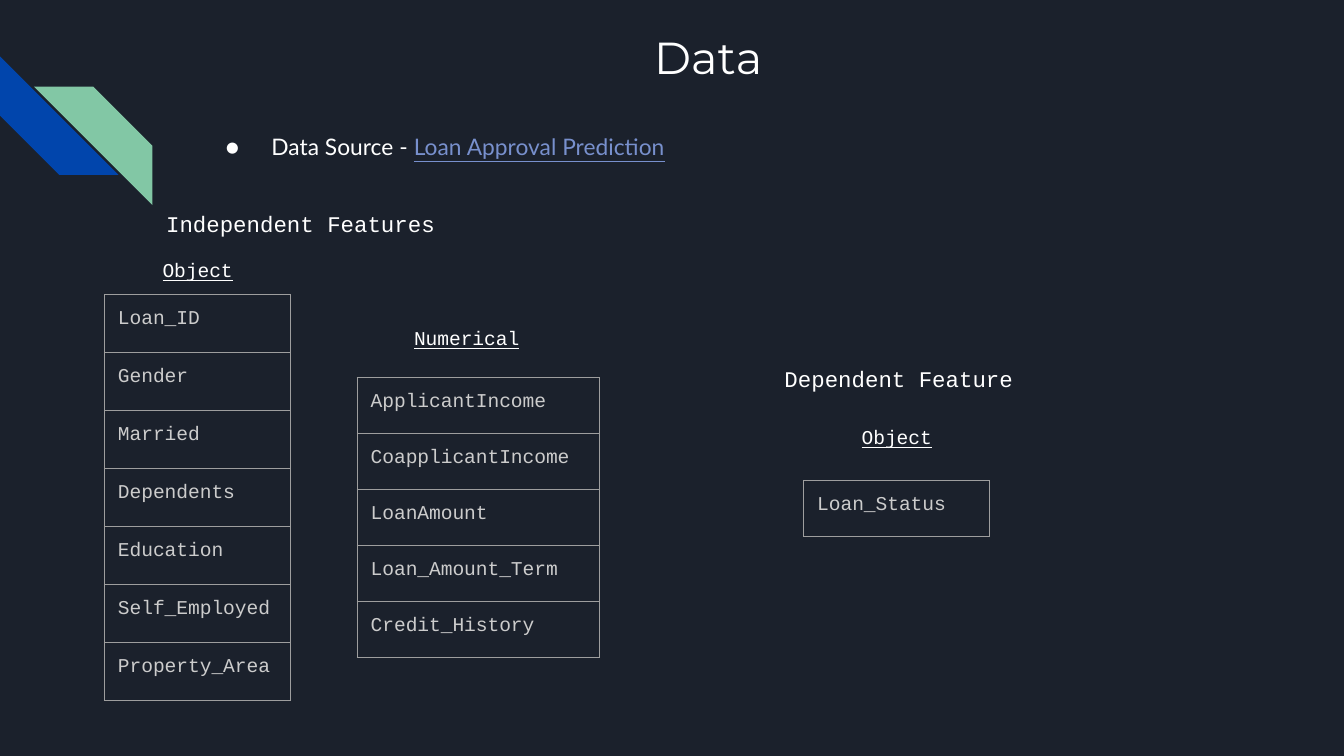
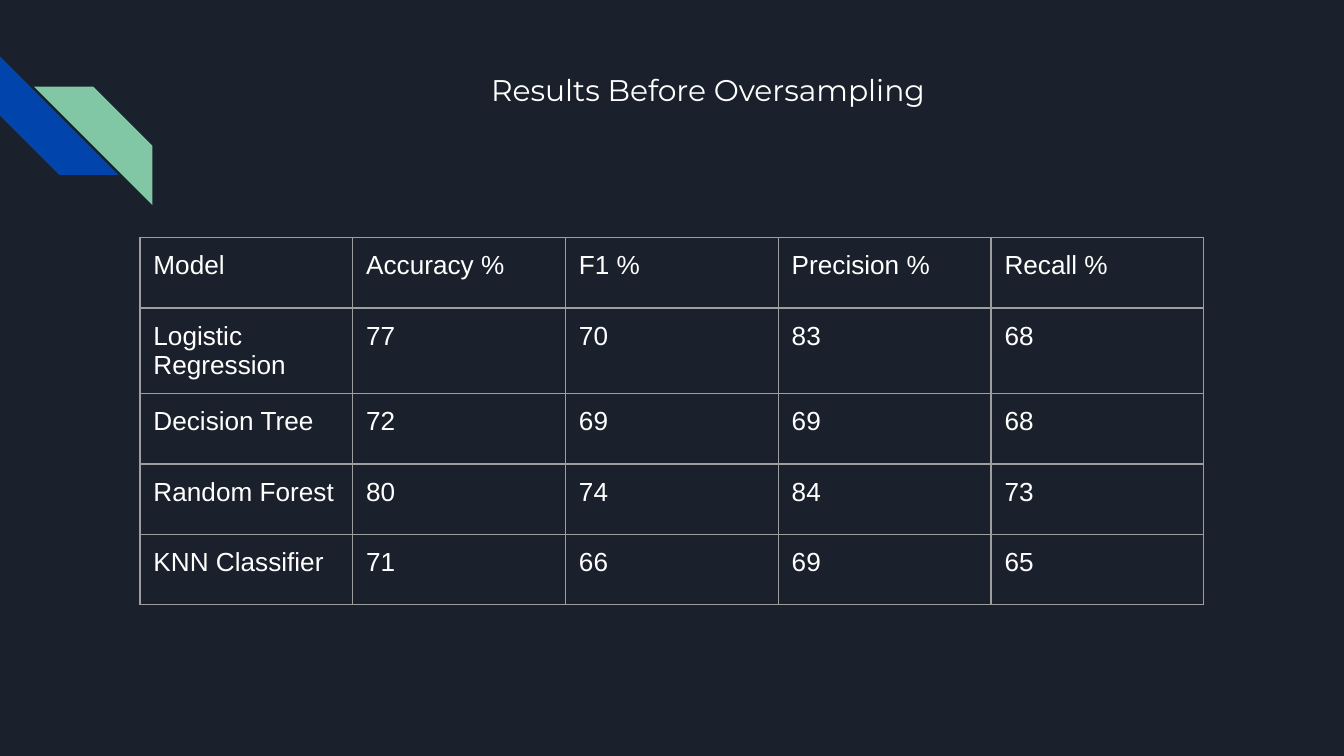
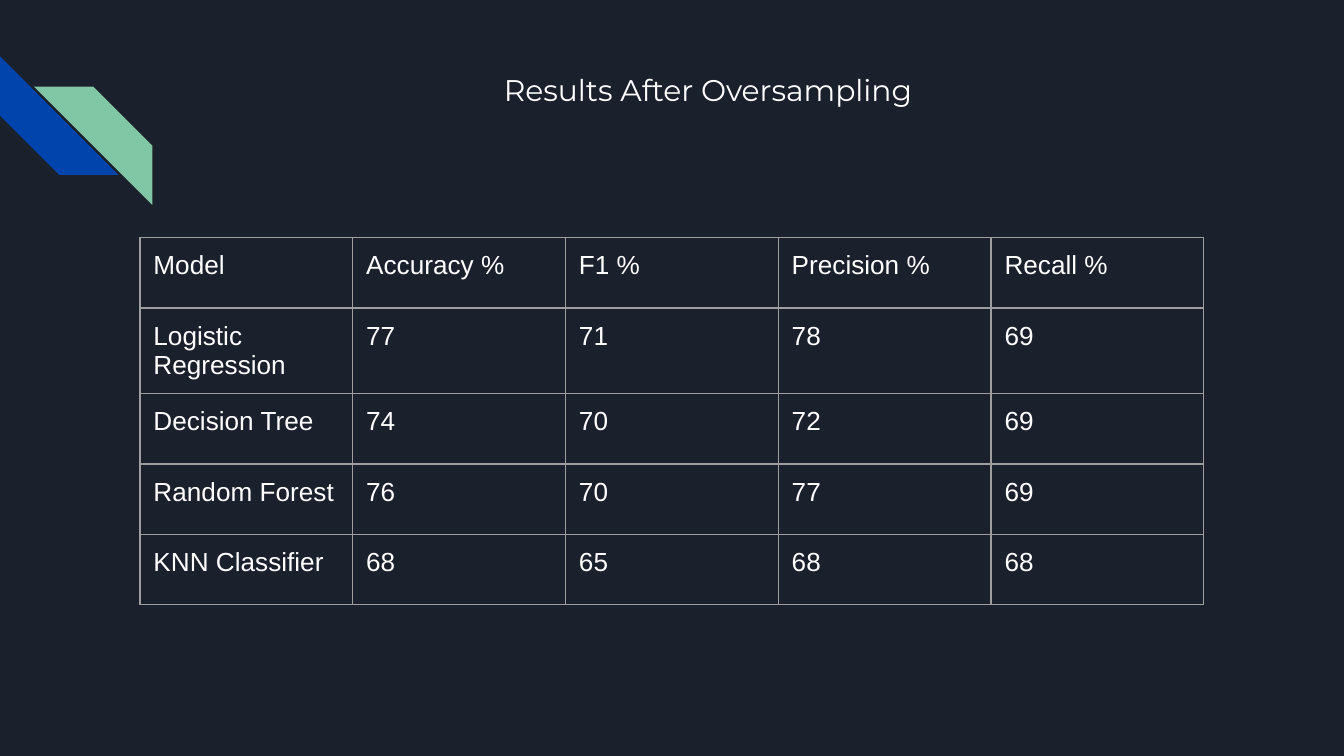
from lxml import etree
from pptx import Presentation
from pptx.dml.color import RGBColor
from pptx.enum.shapes import MSO_SHAPE
from pptx.enum.text import MSO_ANCHOR, MSO_AUTO_SIZE, PP_ALIGN
from pptx.oxml.ns import qn
from pptx.util import Pt

STRIPE = MSO_SHAPE.DIAGONAL_STRIPE
TOP = MSO_ANCHOR.TOP
NO_FIT = MSO_AUTO_SIZE.NONE
CENTER = PP_ALIGN.CENTER
LEFT = PP_ALIGN.LEFT

NIGHT = "1B212C"
BLUE = "0145AC"
GREEN = "82C7A5"
WHITE = "FFFFFF"
SILVER = "CCCCCC"
GRID = "9E9E9E"
LINK = "7890CD"

TITLE_FONT = "Montserrat"
BODY_FONT = "Lato"
CODE_FONT = "Courier New"
TABLE_FONT = "Arial"

INSET = 7.2
TITLE_LEFT, TITLE_WIDTH, TITLE_HEIGHT = 102.2, 554.4, 72
STRIPE_SIZE = 63.5

METRICS = ["Model", "Accuracy %", "F1 %", "Precision %", "Recall %"]
BEFORE = [
    ["Logistic Regression", "77", "70", "83", "68"],
    ["Decision Tree", "72", "69", "69", "68"],
    ["Random Forest", "80", "74", "84", "73"],
    ["KNN Classifier", "71", "66", "69", "65"],
]
AFTER = [
    ["Logistic Regression", "77", "71", "78", "69"],
    ["Decision Tree", "74", "70", "72", "69"],
    ["Random Forest", "76", "70", "77", "69"],
    ["KNN Classifier", "68", "65", "68", "68"],
]
OBJECT_FEATURES = ["Loan_ID", "Gender", "Married", "Dependents", "Education",
                   "Self_Employed", "Property_Area"]
NUMERICAL_FEATURES = ["ApplicantIncome", "CoapplicantIncome", "LoanAmount",
                      "Loan_Amount_Term", "Credit_History"]


def color(value):
    """Turn a hex string into a colour."""
    return RGBColor.from_string(value)


def style_run(run, font, size, ink, underline=False):
    """Format one run of text."""
    run.font.name = font
    run.font.size = Pt(size)
    run.font.color.rgb = color(ink)
    run.font.bold = False
    if underline:
        run.font.underline = True


def set_frame(holder):
    """Give a text frame wrapping, top anchoring and equal insets."""
    frame = holder.text_frame
    frame.word_wrap = True
    frame.auto_size = NO_FIT
    frame.vertical_anchor = TOP
    frame.margin_left = frame.margin_right = Pt(INSET)
    frame.margin_top = frame.margin_bottom = Pt(INSET)
    return frame


def place(shape, left, top, width, height):
    """Move and size a shape, in points."""
    shape.left, shape.top = Pt(left), Pt(top)
    shape.width, shape.height = Pt(width), Pt(height)


def add_stripe(slide, left, top, rotation, fill):
    """Draw one diagonal stripe of the corner ornament."""
    stripe = slide.shapes.add_shape(
        STRIPE, Pt(left), Pt(top), Pt(STRIPE_SIZE), Pt(STRIPE_SIZE))
    stripe.rotation = rotation
    stripe.shadow.inherit = False
    stripe.fill.solid()
    stripe.fill.fore_color.rgb = color(fill)
    stripe.line.fill.background()


def add_slide(prs, layout, title, top, size):
    """Add a slide with the corner ornament and a centred title."""
    slide = prs.slides.add_slide(prs.slide_layouts.get_by_name(layout))
    add_stripe(slide, 0, 30.2, 270, BLUE)
    add_stripe(slide, 18.2, 46.4, 90, GREEN)
    heading = slide.shapes.title
    place(heading, TITLE_LEFT, top, TITLE_WIDTH, TITLE_HEIGHT)
    frame = set_frame(heading)
    frame.text = title
    frame.paragraphs[0].alignment = CENTER
    style_run(frame.paragraphs[0].runs[0], TITLE_FONT, size, WHITE)
    return slide


def add_bullet(paragraph, mark, ink):
    """Put a coloured bullet with a hanging indent before a paragraph."""
    props = paragraph._p.get_or_add_pPr()
    props.set("marL", str(Pt(36)))
    props.set("indent", str(Pt(-24.5)))
    tint = etree.SubElement(props, qn("a:buClr"))
    etree.SubElement(tint, qn("a:srgbClr"), val=ink)
    etree.SubElement(props, qn("a:buFont"), typeface=BODY_FONT)
    etree.SubElement(props, qn("a:buChar"), char=mark)


def fill_source(slide, label, dataset):
    """Write the data source line into the body placeholder."""
    body = slide.placeholders[1]
    place(body, TITLE_LEFT, 64.8, TITLE_WIDTH, 46)
    source = set_frame(body).paragraphs[0]
    source.text = label
    source.add_run().text = dataset
    source.alignment = LEFT
    source.line_spacing = 0.95
    source.space_before = Pt(0)
    add_bullet(source, "●", WHITE)
    style_run(source.runs[0], BODY_FONT, 12.2, WHITE)
    style_run(source.runs[1], BODY_FONT, 12.2, LINK, underline=True)


def add_label(slide, text, left, top, width, height, size, underline=False):
    """Add a centred label in the code font."""
    label = slide.shapes.add_textbox(Pt(left), Pt(top), Pt(width), Pt(height))
    frame = set_frame(label)
    frame.text = text
    frame.paragraphs[0].alignment = CENTER
    style_run(frame.paragraphs[0].runs[0], CODE_FONT, size, WHITE, underline)


def add_group_label(slide, text, left, top):
    """Name a group of features."""
    add_label(slide, text, left, top, 249, 29, 12)


def add_type_label(slide, text, left, top):
    """Name a feature type, underlined."""
    add_label(slide, text, left, top, 117.4, 27.4, 10.5, underline=True)


def set_borders(cell):
    """Draw a thin line on all four sides of a cell."""
    props = cell._tc.get_or_add_tcPr()
    for side in ("a:lnL", "a:lnR", "a:lnT", "a:lnB"):
        line = etree.SubElement(props, qn(side), w=str(Pt(0.75)))
        paint = etree.SubElement(line, qn("a:solidFill"))
        etree.SubElement(paint, qn("a:srgbClr"), val=GRID)


def add_grid(slide, rows, left, top, col_width, row_height, font, size, ink):
    """Add an unfilled, outlined table with equal columns and rows."""
    count = len(rows[0])
    table = slide.shapes.add_table(
        len(rows), count, Pt(left), Pt(top),
        Pt(col_width * count), Pt(row_height * len(rows))).table
    table.first_row = table.horz_banding = False
    for column in table.columns:
        column.width = Pt(col_width)
    for row, values in zip(table.rows, rows):
        row.height = Pt(row_height)
        for cell, value in zip(row.cells, values):
            cell.text = value
            cell.margin_left = cell.margin_right = Pt(INSET)
            cell.margin_top = cell.margin_bottom = Pt(INSET)
            set_borders(cell)
            cell.fill.background()
            style_run(cell.text_frame.paragraphs[0].runs[0], font, size, ink)


def add_features(slide, names, left, top, width, row_height):
    """List feature names in a one-column table."""
    add_grid(slide, [[name] for name in names], left, top, width, row_height,
             CODE_FONT, 10.5, SILVER)


def add_data_slide(prs):
    """Build the slide on the data and its features."""
    slide = add_slide(prs, "Title and Content", "Data", 8.6, 24)
    fill_source(slide, "Data Source - ", "Loan Approval Prediction")
    add_features(slide, OBJECT_FEATURES, 56, 157.8, 99.6, 31.1)
    add_features(slide, NUMERICAL_FEATURES, 191.4, 202.3, 129.8, 30)
    add_features(slide, ["Loan_Status"], 430.6, 257.5, 99.6, 30)
    add_group_label(slide, "Independent Features", 36.5, 105.3)
    add_group_label(slide, "Dependent Feature", 357, 188.2)
    add_type_label(slide, "Object", 47.2, 130.8)
    add_type_label(slide, "Numerical", 191.3, 167.2)
    add_type_label(slide, "Object", 421.7, 220.3)


def add_results_slide(prs, title, scores):
    """Build a slide with the scores of each model."""
    slide = add_slide(prs, "Title Only", title, 31, 16)
    add_grid(slide, [METRICS] + scores, 75, 127.4, 114, 37.7,
             TABLE_FONT, 14, WHITE)


def main():
    """Build and save the presentation."""
    prs = Presentation()
    prs.slide_width, prs.slide_height = Pt(720), Pt(405)
    backdrop = prs.slide_master.background.fill
    backdrop.solid()
    backdrop.fore_color.rgb = color(NIGHT)
    add_data_slide(prs)
    add_results_slide(prs, "Results Before Oversampling", BEFORE)
    add_results_slide(prs, "Results After Oversampling", AFTER)
    prs.save("out.pptx")


if __name__ == "__main__":
    main()
